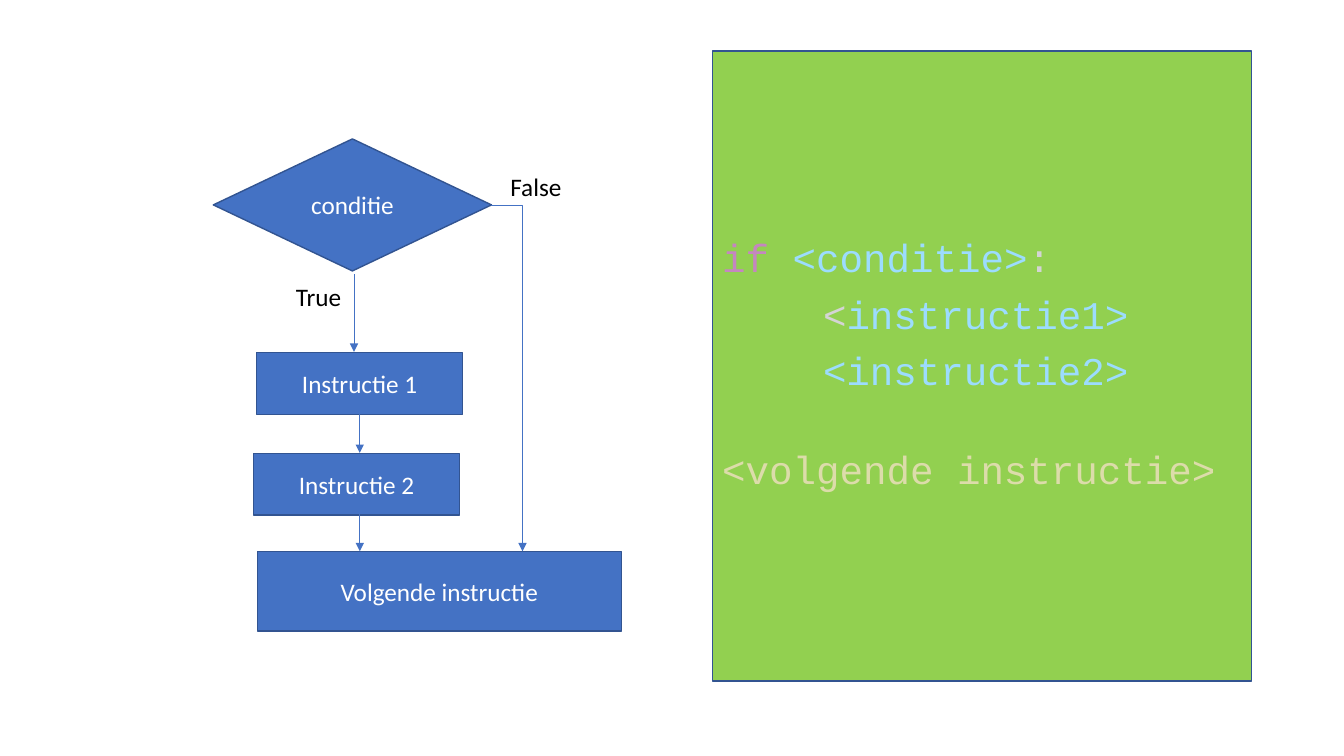
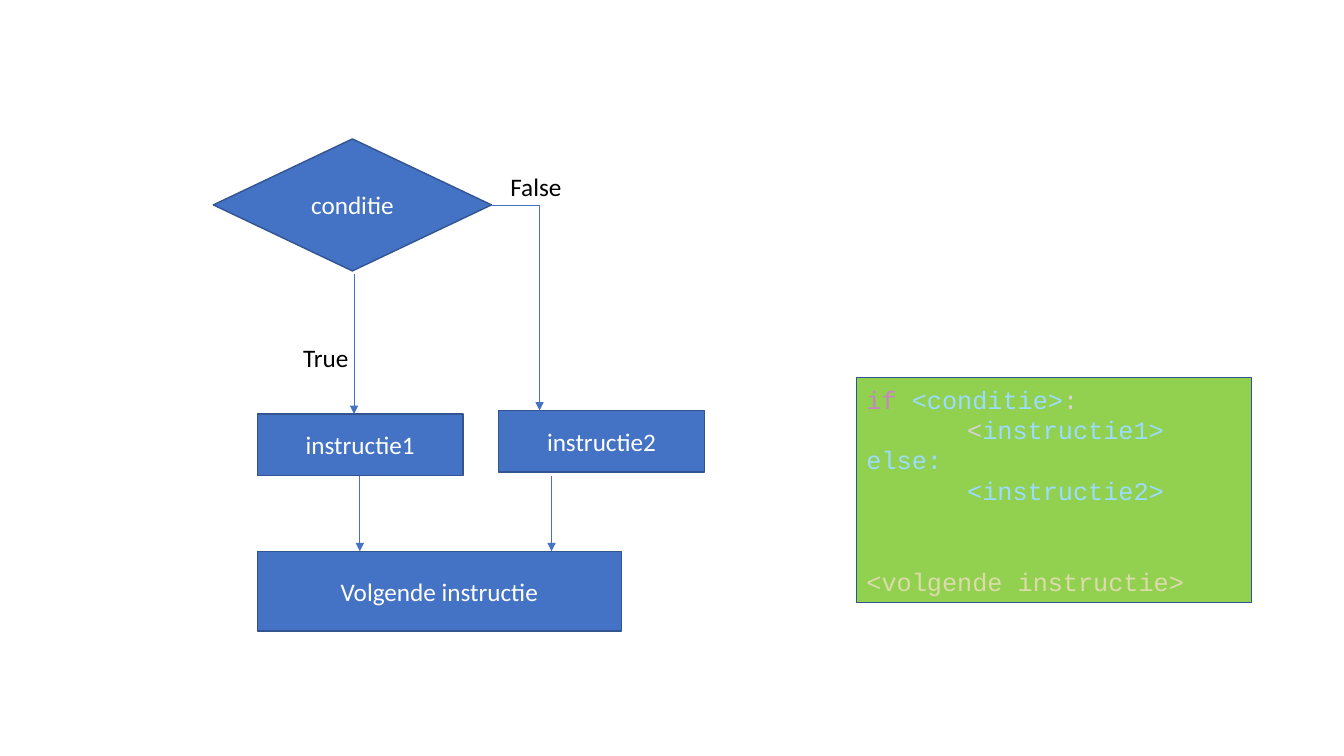
"""Build two slides that set flowcharts of conditional statements beside their code."""
from dataclasses import dataclass
from typing import Any

from lxml import etree
from pptx import Presentation
from pptx.dml import color
from pptx.enum import shapes, text
from pptx.oxml import ns
from pptx.util import Pt


@dataclass(frozen=True)
class Theme:
    node: str = "4472C4"
    outline: str = "325491"
    panel: str = "92D050"
    light: str = "FFFFFF"
    dark: str = "000000"
    keyword: str = "C586C0"
    operand: str = "9CDCFE"
    mark: str = "D4D4D4"
    following: str = "DCDCAA"
    body_font: str = "Calibri"
    code_font: str = "Courier New"
    body_size: float = 18
    large_code_size: float = 28
    outline_width: float = 1
    arrow_width: float = 0.5
    tab: float = 72


THEME = Theme()
RECT = shapes.MSO_SHAPE.RECTANGLE
DIAMOND = shapes.MSO_SHAPE.FLOWCHART_DECISION


@dataclass(frozen=True)
class Frame:
    left: float
    top: float
    width: float
    height: float

    def lengths(self) -> list[Pt]:
        return [Pt(n) for n in (self.left, self.top, self.width, self.height)]


@dataclass(frozen=True)
class Node:
    caption: str
    frame: Frame
    kind: Any = RECT


@dataclass(frozen=True)
class Label:
    caption: str
    frame: Frame


@dataclass(frozen=True)
class Arrow:
    start: tuple[float, float]
    end: tuple[float, float]
    bent: bool = False


@dataclass(frozen=True)
class CodeLine:
    spans: tuple[tuple[str, str], ...]
    level: int = 0
    gap: float = 0


@dataclass(frozen=True)
class CodePanel:
    frame: Frame
    size: float
    spacing: float
    before: float
    lines: tuple[CodeLine, ...]


@dataclass(frozen=True)
class Chart:
    nodes: tuple[Node, ...]
    labels: tuple[Label, ...]
    arrows: tuple[Arrow, ...]
    panel: CodePanel


def assign(target: Any, values: dict[str, Any]) -> None:
    for name, value in values.items():
        setattr(target, name, value)


def rgb(code: str) -> color.RGBColor:
    return color.RGBColor.from_string(code)


def add_span(para: Any, words: str, ink: str, font: str, size: float) -> None:
    span = para.add_run()
    span.text = words
    assign(span.font, {"name": font, "size": Pt(size)})
    span.font.color.rgb = rgb(ink)


def add_box(page: Any, kind: Any, frame: Frame, fill: str) -> Any:
    box = page.shapes.add_shape(kind, *frame.lengths())
    box.shadow.inherit = False
    box.fill.solid()
    box.fill.fore_color.rgb = rgb(fill)
    box.line.color.rgb = rgb(THEME.outline)
    box.line.width = Pt(THEME.outline_width)
    assign(box.text_frame, {"word_wrap": True, "vertical_anchor": text.MSO_ANCHOR.MIDDLE})
    return box


def draw_node(page: Any, node: Node) -> None:
    box = add_box(page, node.kind, node.frame, THEME.node)
    para = box.text_frame.paragraphs[0]
    para.alignment = text.PP_ALIGN.CENTER
    add_span(para, node.caption, THEME.light, THEME.body_font, THEME.body_size)


def draw_label(page: Any, label: Label) -> None:
    box = page.shapes.add_textbox(*label.frame.lengths())
    box.text_frame.word_wrap = True
    para = box.text_frame.paragraphs[0]
    add_span(para, label.caption, THEME.dark, THEME.body_font, THEME.body_size)


def draw_arrow(page: Any, arrow: Arrow) -> None:
    kinds = shapes.MSO_CONNECTOR
    kind = kinds.ELBOW if arrow.bent else kinds.STRAIGHT
    points = [Pt(n) for n in arrow.start + arrow.end]
    connector = page.shapes.add_connector(kind, *points)
    connector.line.color.rgb = rgb(THEME.node)
    connector.line.width = Pt(THEME.arrow_width)
    properties = connector.element.spPr
    if arrow.bent:
        properties.find(ns.qn("a:prstGeom")).set("prst", "bentConnector2")
    outline = properties.find(ns.qn("a:ln"))
    etree.SubElement(outline, ns.qn("a:tailEnd")).set("type", "triangle")
    etree.SubElement(properties, ns.qn("a:effectLst"))


def draw_panel(page: Any, panel: CodePanel) -> None:
    box = add_box(page, RECT, panel.frame, THEME.panel)
    for index, line in enumerate(panel.lines):
        frame = box.text_frame
        para = frame.add_paragraph() if index else frame.paragraphs[0]
        assign(para, {
            "alignment": text.PP_ALIGN.LEFT,
            "line_spacing": panel.spacing,
            "space_before": Pt(panel.before + line.gap),
        })
        para._p.get_or_add_pPr().set("marL", str(Pt(THEME.tab * line.level)))
        for words, ink in line.spans:
            add_span(para, words, ink, THEME.code_font, panel.size)


def draw_chart(deck: Any, chart: Chart) -> None:
    page = deck.slides.add_slide(deck.slide_layouts[6])
    for draw, items in (
        (draw_node, SHARED_NODES + chart.nodes),
        (draw_label, (FALSE_LABEL,) + chart.labels),
        (draw_arrow, chart.arrows),
        (draw_panel, (chart.panel,)),
    ):
        for item in items:
            draw(page, item)


def step(caption: str, left: float, top: float) -> Node:
    return Node(caption, Frame(left, top, 147, 44))


def true_label(left: float, top: float) -> Label:
    return Label("True", Frame(left, top, 48, 29))


NEXT_TOP = 393.8
TRUE_X = 252.9
STEP_X = 257
FALSE_START = (350.9, 146.4)
SHARED_NODES = (
    Node("conditie", Frame(152.4, 99.2, 198.7, 94.3), DIAMOND),
    Node("Volgende instructie", Frame(183.8, NEXT_TOP, 260, 56.9)),
)
FALSE_LABEL = Label("False", Frame(357.5, 119, 72, 29))

IF_LINE = CodeLine((("if ", THEME.keyword), ("<conditie>", THEME.operand), (":", THEME.mark)))
FIRST_LINE = CodeLine((("<", THEME.mark), ("instructie1>", THEME.operand)), 1)
SECOND_LINE = CodeLine((("<instructie2>", THEME.operand),), 1)
ELSE_LINE = CodeLine((("else:", THEME.operand),))


def next_line(gap: float) -> CodeLine:
    return CodeLine((("<volgende instructie>", THEME.following),), gap=gap)


CHARTS = (
    Chart(
        nodes=(step("Instructie 1", 183.4, 252), step("Instructie 2", 181.2, 324)),
        labels=(true_label(204.2, 197.5),),
        arrows=(
            Arrow((TRUE_X, 195.8), (TRUE_X, 251.3)),
            Arrow(FALSE_START, (373.2, NEXT_TOP), True),
            Arrow((STEP_X, 296), (STEP_X, 323.5)),
            Arrow((STEP_X, 366.5), (STEP_X, NEXT_TOP)),
        ),
        panel=CodePanel(
            Frame(508.8, 36.5, 385.2, 450), THEME.large_code_size, 0.9, 10,
            (IF_LINE, FIRST_LINE, SECOND_LINE, next_line(30.7)),
        ),
    ),
    Chart(
        nodes=(step("instructie1", 183.8, 295.7), step("instructie2", 356.2, 293.2)),
        labels=(true_label(209.5, 240.8),),
        arrows=(
            Arrow((TRUE_X, 195.8), (TRUE_X, 295.7)),
            Arrow(FALSE_START, (385.4, 293.2), True),
            Arrow((STEP_X, 339.8), (STEP_X, NEXT_TOP)),
            Arrow((394, 339.8), (394, NEXT_TOP)),
        ),
        panel=CodePanel(
            Frame(611.8, 269.8, 282.2, 160.6), THEME.body_size, 1.0, 0,
            (IF_LINE, FIRST_LINE, ELSE_LINE, SECOND_LINE, next_line(43.4)),
        ),
    ),
)


def main() -> None:
    deck = Presentation()
    assign(deck, {"slide_width": Pt(960), "slide_height": Pt(540)})
    for chart in CHARTS:
        draw_chart(deck, chart)
    deck.save("out.pptx")


main()
